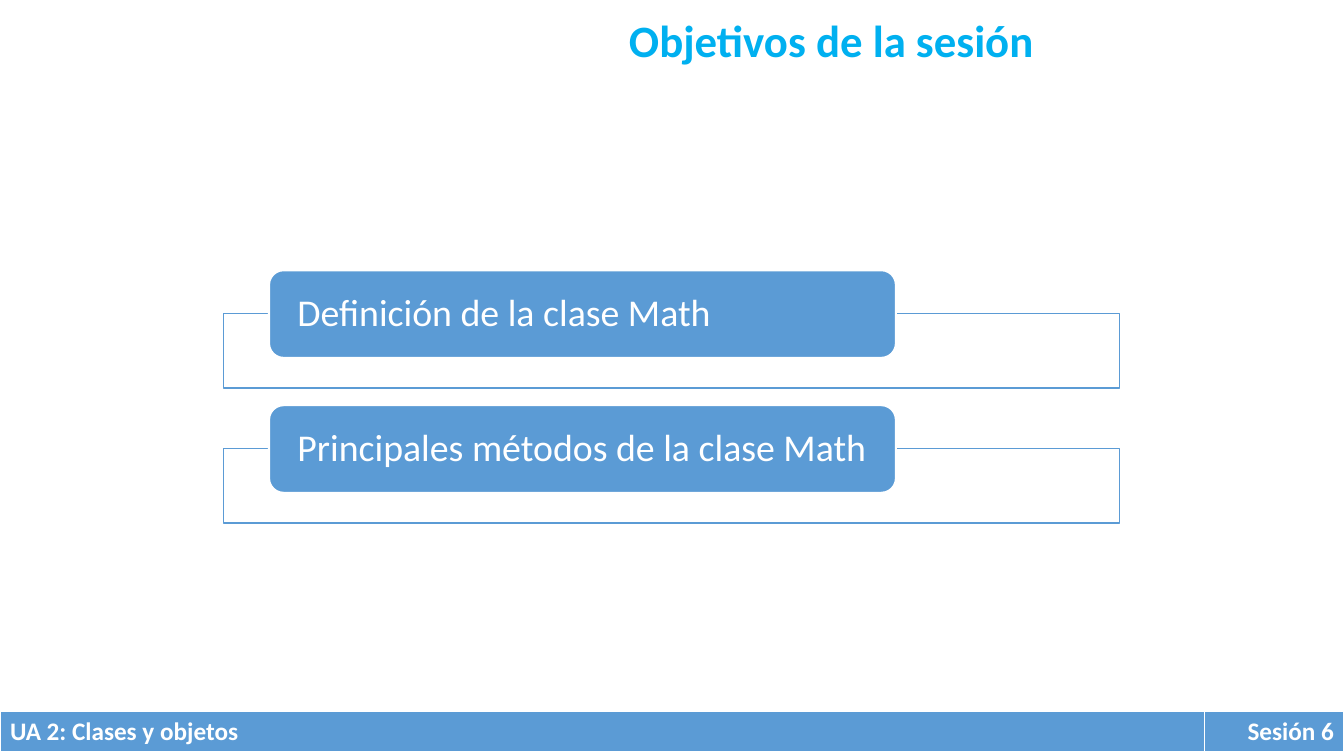
from dataclasses import dataclass

from lxml import etree
from pptx import Presentation
from pptx.dml.color import RGBColor
from pptx.enum.shapes import MSO_SHAPE
from pptx.enum.text import MSO_ANCHOR, PP_ALIGN
from pptx.oxml.ns import qn
from pptx.shapes.autoshape import Shape
from pptx.slide import Slide
from pptx.table import _Cell
from pptx.text.text import TextFrame
from pptx.util import Cm, Length, Pt


@dataclass(frozen=True)
class Theme:
    font: str = "Calibri"
    blue: RGBColor = RGBColor(0x5B, 0x9B, 0xD5)
    cyan: RGBColor = RGBColor(0x00, 0xB0, 0xF0)
    white: RGBColor = RGBColor(0xFF, 0xFF, 0xFF)
    title_size: Length = Pt(32)
    objective_size: Length = Pt(27)
    footer_size: Length = Pt(18)


@dataclass(frozen=True)
class Objective:
    text: str
    top: Length


@dataclass(frozen=True)
class FooterCell:
    text: str
    width: Length
    align: PP_ALIGN


THEME = Theme()
SLIDE_WIDTH, SLIDE_HEIGHT = Cm(33.87), Cm(19.05)
FIRST_TOP, OBJECTIVE_PITCH = Cm(6.81), Cm(3.4)
FRAME_DROP = Cm(1.09)
OBJECTIVE_TEXTS = ("Definición de la clase Math", "Principales métodos de la clase Math")
OBJECTIVES = [
    Objective(text, FIRST_TOP + index * OBJECTIVE_PITCH)
    for index, text in enumerate(OBJECTIVE_TEXTS)
]
FOOTER = (
    FooterCell("UA 2: Clases y objetos", Cm(30.36), PP_ALIGN.LEFT),
    FooterCell("Sesión 6", Cm(3.51), PP_ALIGN.RIGHT),
)
BORDERS = {"a:lnL": Pt(1), "a:lnR": Pt(1), "a:lnT": Pt(1), "a:lnB": Pt(3)}


def write(frame: TextFrame, text: str, size: Length, color: RGBColor,
          align: PP_ALIGN = PP_ALIGN.LEFT, bold: bool = False) -> None:
    paragraph = frame.paragraphs[0]
    paragraph.alignment = align
    run = paragraph.add_run()
    run.text = text
    run.font.name = THEME.font
    run.font.size = size
    run.font.bold = bold
    run.font.color.rgb = color


def add_box(slide: Slide, kind: MSO_SHAPE, left: Length, top: Length, width: Length,
            height: Length, fill: RGBColor, line: RGBColor, line_width: Length) -> Shape:
    box = slide.shapes.add_shape(kind, left, top, width, height)
    box.shadow.inherit = False
    box.fill.solid()
    box.fill.fore_color.rgb = fill
    box.line.color.rgb = line
    box.line.width = line_width
    return box


def add_title(slide: Slide, text: str) -> None:
    frame = slide.shapes.add_textbox(Cm(8.05), Cm(0.2), Cm(25.81), Cm(1.63)).text_frame
    frame.word_wrap = True
    frame.margin_left = frame.margin_right = Cm(0.51)
    write(frame, text, THEME.title_size, THEME.cyan, PP_ALIGN.CENTER, True)


def add_objective(slide: Slide, objective: Objective) -> None:
    frame_box = add_box(slide, MSO_SHAPE.RECTANGLE, Cm(5.64), objective.top + FRAME_DROP,
                        Cm(22.58), Cm(1.88), THEME.white, THEME.blue, Pt(1))
    fill_color = frame_box.fill._xPr.find(qn("a:solidFill"))[0]
    etree.SubElement(fill_color, qn("a:alpha"), val="90000")
    label = add_box(slide, MSO_SHAPE.ROUNDED_RECTANGLE, Cm(6.78), objective.top,
                    Cm(15.8), Cm(2.21), THEME.blue, THEME.white, Pt(1.5))
    frame = label.text_frame
    frame.word_wrap = True
    frame.vertical_anchor = MSO_ANCHOR.MIDDLE
    frame.margin_left, frame.margin_right = Cm(0.61), Cm(0.3)
    frame.margin_top = frame.margin_bottom = 0
    write(frame, objective.text, THEME.objective_size, THEME.white)
    frame.paragraphs[0].line_spacing = 0.9


def add_borders(cell: _Cell) -> None:
    properties = cell._tc.get_or_add_tcPr()
    for index, (tag, width) in enumerate(BORDERS.items()):
        border = etree.Element(qn(tag), w=str(int(width)))
        fill = etree.SubElement(border, qn("a:solidFill"))
        etree.SubElement(fill, qn("a:srgbClr"), val=str(THEME.white))
        properties.insert(index, border)


def add_footer(slide: Slide) -> None:
    table = slide.shapes.add_table(1, len(FOOTER), 0, Cm(17.93), SLIDE_WIDTH, Cm(1.04)).table
    for index, item in enumerate(FOOTER):
        table.columns[index].width = item.width
        cell = table.cell(0, index)
        cell.fill.solid()
        cell.fill.fore_color.rgb = THEME.blue
        add_borders(cell)
        write(cell.text_frame, item.text, THEME.footer_size, THEME.white, item.align, True)


def main() -> None:
    presentation = Presentation()
    presentation.slide_width = SLIDE_WIDTH
    presentation.slide_height = SLIDE_HEIGHT
    slide = presentation.slides.add_slide(presentation.slide_layouts[6])
    add_title(slide, "Objetivos de la sesión")
    add_footer(slide)
    for objective in OBJECTIVES:
        add_objective(slide, objective)
    presentation.save("out.pptx")


main()
